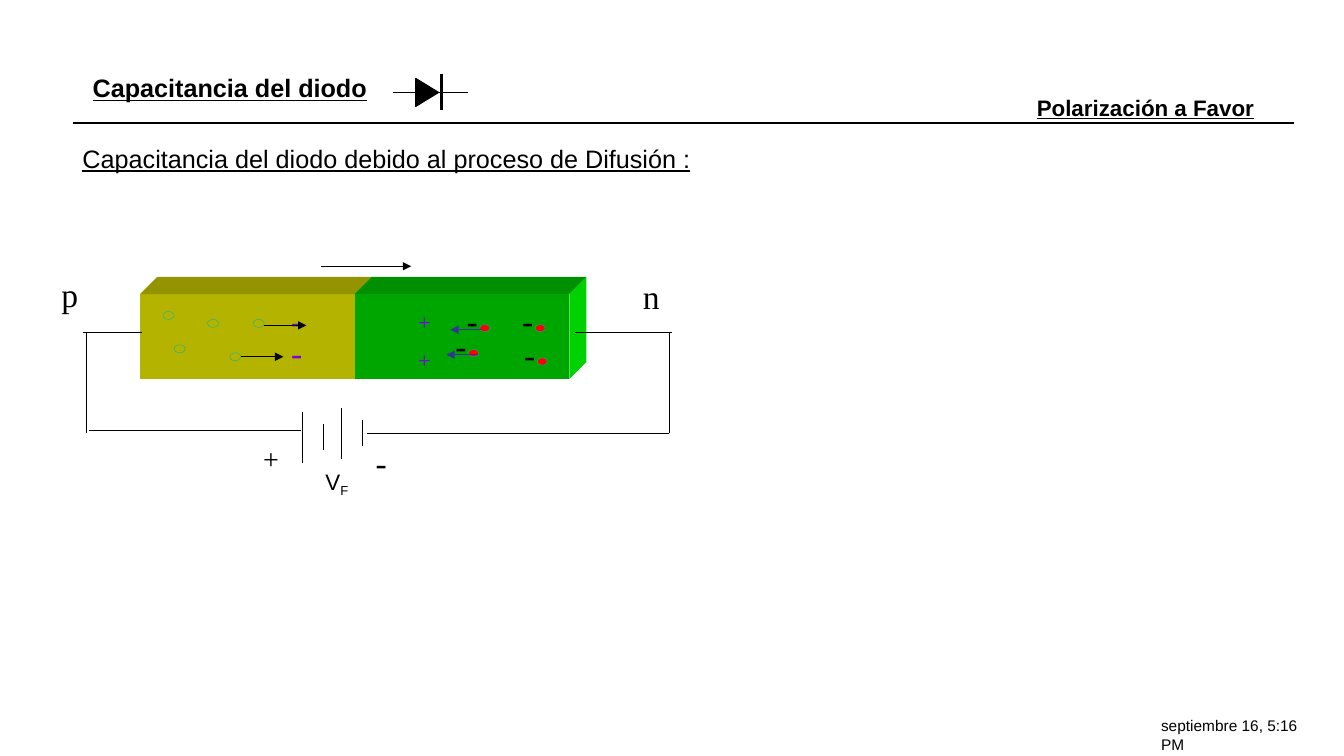
from lxml import etree
from pptx import Presentation
from pptx.dml.color import RGBColor as Rgb
from pptx.enum.shapes import MSO_CONNECTOR as Conn, MSO_SHAPE as Kind
from pptx.enum.text import MSO_ANCHOR as Anchor, MSO_AUTO_SIZE as Auto, PP_ALIGN as Align
from pptx.oxml.ns import qn
from pptx.util import Cm, Pt

INK = {
    "black": "000000", "violet": "7B00E4", "indigo": "333399", "teal": "00B7A5",
    "red": "FF0000", "olive": "B3B300", "olive top": "949400", "green": "00A600",
    "green top": "008F00", "green side": "00D100",
}
SANS, SERIF = "Arial", "Times New Roman"


def tint(name):
    return Rgb.from_string(INK[name])


def paint(shape, fill=None, edge=None, width=0.25):
    shape.shadow.inherit = False
    if fill:
        shape.fill.solid()
        shape.fill.fore_color.rgb = tint(fill)
    else:
        shape.fill.background()
    if edge:
        shape.line.color.rgb = tint(edge)
        shape.line.width = Pt(width)
    else:
        shape.line.fill.background()


def style(para, size, face=SANS, color="black", bold=False, under=False):
    font = para.font
    font.name, font.size, font.color.rgb = face, Pt(size), tint(color)
    font.bold, font.underline = bold, under


def label(slide, text, x, y, w, h, size, wrap=False, **look):
    box = slide.shapes.add_textbox(Cm(x), Cm(y), Cm(w), Cm(h))
    box.text_frame.word_wrap = wrap
    para = box.text_frame.paragraphs[0]
    para.text = text
    style(para, size, **look)
    return para


def line(slide, x1, y1, x2, y2, width=0.75, color="black", arrow=False):
    link = slide.shapes.add_connector(Conn.STRAIGHT, Cm(x1), Cm(y1), Cm(x2), Cm(y2))
    link.line.color.rgb = tint(color)
    link.line.width = Pt(width)
    if arrow:
        etree.SubElement(link.line._get_or_add_ln(), qn("a:tailEnd"), type="triangle")
    etree.SubElement(link._element.spPr, qn("a:effectLst"))


def oval(slide, x, y, w, h, fill=None):
    dot = slide.shapes.add_shape(Kind.OVAL, Cm(x), Cm(y), Cm(w), Cm(h))
    paint(dot, fill, "teal")


def face(slide, points, fill):
    first, *rest = [(Cm(x), Cm(y)) for x, y in points]
    form = slide.shapes.build_freeform(*first)
    form.add_line_segments(rest)
    paint(form.convert_to_shape(), fill)


def diode(slide, x, y):
    """Diode symbol, with y on its axis."""
    tip = slide.shapes.add_shape(Kind.ISOSCELES_TRIANGLE, Cm(x + 0.5), Cm(y - 0.28),
                                 Cm(0.71), Cm(0.58))
    tip.rotation = 90
    paint(tip, "black", "black", 0.75)
    line(slide, x + 1.22, y - 0.46, x + 1.22, y + 0.46, 2.25)
    line(slide, x + 1.16, y, x + 1.88, y)
    line(slide, x, y, x + 0.73, y)


def header(slide, x, y, w):
    title = slide.shapes.title
    title.left, title.top = Cm(x + 0.25), Cm(y)
    title.width, title.height = Cm(10.67), Cm(1.02)
    frame = title.text_frame
    frame.auto_size, frame.vertical_anchor = Auto.NONE, Anchor.TOP
    para = frame.paragraphs[0]
    para.text, para.alignment = "Capacitancia del diodo", Align.LEFT
    style(para, 18, bold=True, under=True)
    diode(slide, x + 8.08, y + 0.62)
    label(slide, "Polarización a Favor", x + w - 6.73, y + 0.54, 6.73, 0.94, 16,
          wrap=True, bold=True, under=True)
    line(slide, x, y + 1.4, x + w, y + 1.4)
    label(slide, "Capacitancia del diodo debido al proceso de Difusión :",
          x, y + 1.78, 15.98, 1.02, 18, under=True)


def block(slide, x, y, w, h, color, side=None):
    """Box in relief: front, top and, if seen, right side."""
    deep, right, base = 0.43, x + w, y + h
    face(slide, [(x, y), (right, y), (right, base), (x, base)], color)
    face(slide, [(x, y), (x + deep, y - deep), (right + deep, y - deep), (right, y)],
         color + " top")
    if side:
        face(slide, [(right, y), (right + deep, y - deep), (right + deep, base - deep),
                     (right, base)], side)


def diagram(slide, x, y):
    # The two halves of the junction
    block(slide, x + 2.26, y + 0.81, 5.41, 2.14, "olive")
    block(slide, x + 7.67, y + 0.81, 5.41, 2.14, "green", "green side")

    # Electrons and holes
    for dx, dy in [(10.54, 2.21), (12.22, 1.58), (12.27, 2.42), (10.82, 1.58)]:
        oval(slide, x + dx, y + dy, 0.25, 0.18, "red")
        label(slide, "-", x + dx - 0.58, y + dy - 0.74, 0.79, 1.3, 24, face=SERIF)
    for dx, dy in [(2.84, 1.25), (3.12, 2.09), (3.96, 1.45), (4.52, 2.29), (5.11, 1.45)]:
        oval(slide, x + dx, y + dy, 0.28, 0.2)

    # Signs and region names
    signs = [
        ("p", 0.03, 0.18, 24, "black"), ("n", 14.68, 0.23, 24, "black"),
        ("-", 5.82, 0.84, 24, "violet"), ("-", 5.82, 1.63, 24, "violet"),
        ("+", 9.02, 1.05, 16, "violet"), ("+", 9.02, 1.99, 16, "violet"),
        ("+", 5.11, 4.4, 20, "black"), ("-", 7.95, 4.42, 24, "black"),
    ]
    for text, dx, dy, size, color in signs:
        wide = {"-": 0.79, "+": 0.88}.get(text, 0.94)
        label(slide, text, x + dx, y + dy, wide, 0.15 + size * 0.05, size,
              face=SERIF, color=color)

    # Battery plates
    for dx, top, tall in [(6.35, 3.79, 1.27), (6.88, 4.09, 0.64),
                          (7.33, 3.69, 1.27), (7.87, 3.99, 0.64)]:
        line(slide, x + dx, y + top, x + dx, y + top + tall, 1)

    # Wires
    for x1, y1, x2, y2 in [(0.97, 4.25, 6.32, 4.25), (7.98, 4.32, 15.6, 4.32),
                           (0.91, 1.78, 0.91, 4.32), (15.6, 1.78, 15.6, 4.32),
                           (13.23, 1.78, 15.67, 1.78), (0.91, 1.78, 2.31, 1.78),
                           (0.81, 1.78, 2.24, 1.78)]:
        line(slide, x + x1, y + y1, x + x2, y + y2, 1)

    # Carrier flow
    for dx, dy, run, color in [(10.77, 2.34, -0.79, "indigo"), (10.87, 1.71, -0.79, "indigo"),
                               (4.8, 2.39, 1.07, "black"), (5.38, 1.6, 1.07, "black"),
                               (6.83, 0.11, 2.26, "black")]:
        line(slide, x + dx, y + dy, x + dx + run, y + dy, color=color, arrow=True)

    # Source voltage
    para = label(slide, "V", x + 6.68, y + 5.06, 2.21, 0.94, 16, wrap=True)
    sub = para.add_run()
    sub.text = "F"
    sub.font._element.set("baseline", "-25000")


def main():
    deck = Presentation()
    deck.slide_width, deck.slide_height = Cm(33.87), Cm(19.05)
    slide = deck.slides.add_slide(deck.slide_layouts[5])
    header(slide, 1.83, 1.7, 30.78)
    diagram(slide, 1.27, 6.6)
    label(slide, "septiembre 16, 5:16 PM", 29.01, 17.93, 4.62, 0.79, 11, wrap=True)
    deck.save("out.pptx")


if __name__ == "__main__":
    main()
